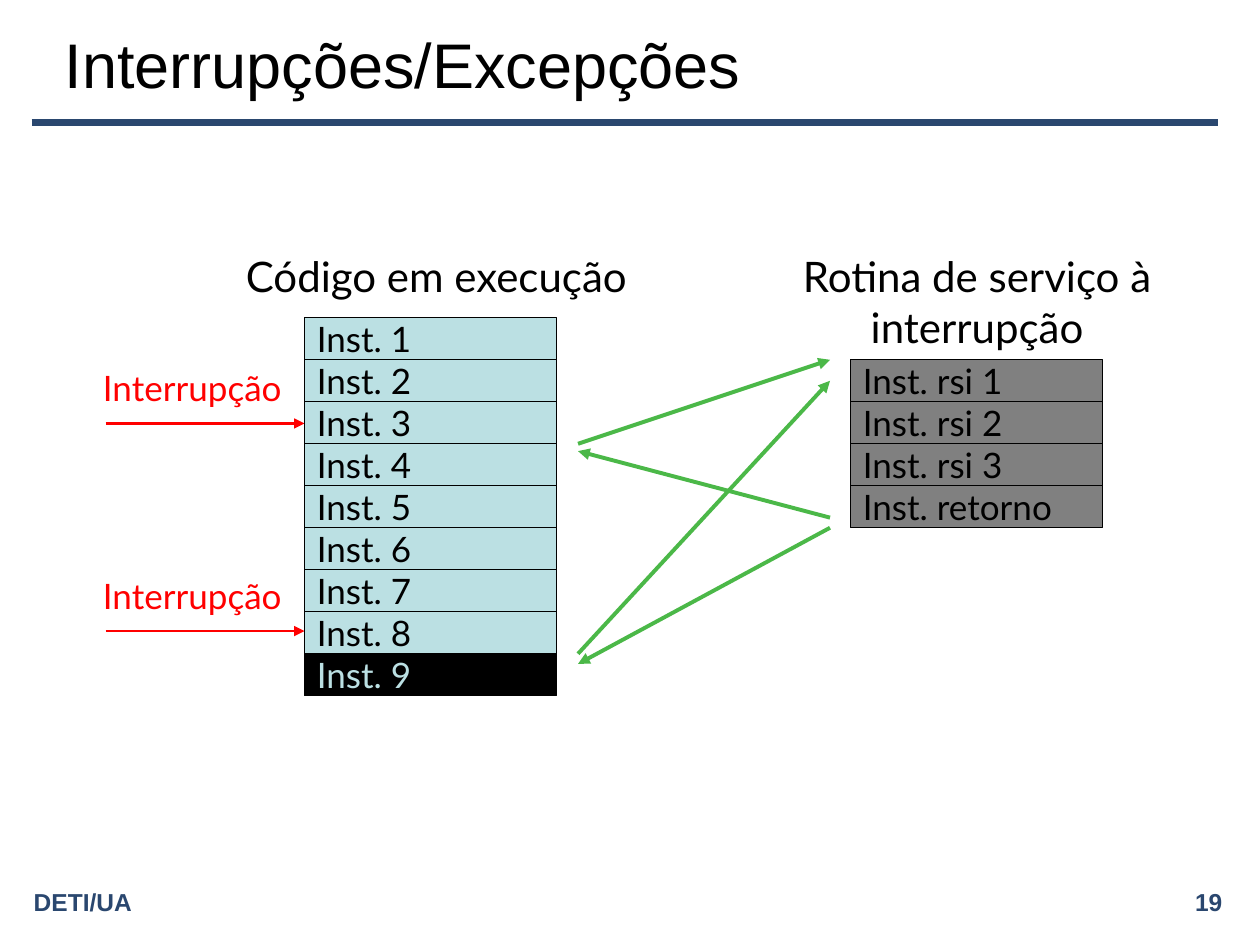
from dataclasses import dataclass

from lxml import etree
from pptx import Presentation
from pptx.dml.color import RGBColor
from pptx.enum.shapes import MSO_CONNECTOR, MSO_SHAPE
from pptx.enum.text import MSO_ANCHOR, PP_ALIGN
from pptx.oxml.ns import qn
from pptx.util import Pt

LEFT, CENTER, RIGHT = PP_ALIGN.LEFT, PP_ALIGN.CENTER, PP_ALIGN.RIGHT
TOP, MIDDLE = MSO_ANCHOR.TOP, MSO_ANCHOR.MIDDLE
STRAIGHT, RECTANGLE = MSO_CONNECTOR.STRAIGHT, MSO_SHAPE.RECTANGLE

COLORS = {
    "navy": "2A476F",
    "black": "000000",
    "red": "FF0000",
    "green": "4BB848",
    "code": "BBE0E3",
    "routine": "808080",
}
ROW_HEIGHT = 24
ROW_WIDTH = 144
CODE_LEFT, CODE_TOP = 174, 181.6
ROUTINE_LEFT, ROUTINE_TOP = 486, CODE_TOP + ROW_HEIGHT


@dataclass
class Label:
    text: str
    left: float
    top: float
    width: float
    height: float
    size: float = 24
    font: str = "Lato"
    color: str = "black"
    align: PP_ALIGN = CENTER
    anchor: MSO_ANCHOR = TOP
    bold: bool = False


@dataclass
class Line:
    x1: float
    y1: float
    x2: float
    y2: float
    color: str
    width: float
    arrow: bool = True


@dataclass
class Instruction:
    text: str
    left: float
    top: float
    fill: str
    color: str = "black"


def rgb(name: str) -> RGBColor:
    return RGBColor.from_string(COLORS[name])


def write_text(box, text: str, *, size: float = 20, font: str = "Lato",
               color: str = "black", align: PP_ALIGN = LEFT,
               anchor: MSO_ANCHOR = MIDDLE, bold: bool = False) -> None:
    frame = box.text_frame
    frame.word_wrap = True
    frame.vertical_anchor = anchor
    para = frame.paragraphs[0]
    para.text = text
    para.alignment = align
    for span in para.runs:
        span.font.size = Pt(size)
        span.font.name = font
        span.font.bold = bold
        span.font.color.rgb = rgb(color)


def draw_label(page, label: Label) -> None:
    box = page.shapes.add_textbox(Pt(label.left), Pt(label.top),
                                  Pt(label.width), Pt(label.height))
    write_text(box, label.text, size=label.size, font=label.font,
               color=label.color, align=label.align, anchor=label.anchor,
               bold=label.bold)


def draw_line(page, line: Line) -> None:
    connector = page.shapes.add_connector(
        STRAIGHT, Pt(line.x1), Pt(line.y1), Pt(line.x2), Pt(line.y2))
    connector.line.color.rgb = rgb(line.color)
    connector.line.width = Pt(line.width)
    if line.arrow:
        outline = connector.line._get_or_add_ln()
        etree.SubElement(outline, qn("a:tailEnd"), type="triangle")
    etree.SubElement(connector._element.spPr, qn("a:effectLst"))


def draw_instruction(page, row: Instruction) -> None:
    box = page.shapes.add_shape(RECTANGLE, Pt(row.left), Pt(row.top),
                                Pt(ROW_WIDTH), Pt(ROW_HEIGHT))
    box.shadow.inherit = False
    box.fill.solid()
    box.fill.fore_color.rgb = rgb(row.fill)
    box.line.color.rgb = rgb("black")
    box.line.width = Pt(0.75)
    write_text(box, row.text, color=row.color)


def main() -> None:
    deck = Presentation()
    deck.slide_width, deck.slide_height = Pt(720), Pt(540)
    page = deck.slides.add_slide(deck.slide_layouts[6])

    # Title, rule and footer
    draw_line(page, Line(18, 70, 696, 70, "navy", 4.5, arrow=False))
    footer = {"top": 504, "width": 279.4, "height": 22.3, "size": 14,
              "font": "Arial", "color": "navy", "anchor": MIDDLE, "bold": True}
    draw_label(page, Label("19", 426.2, align=RIGHT, **footer))
    draw_label(page, Label("DETI/UA", 12.2, align=LEFT, **footer))
    draw_label(page, Label("Interrupções/Excepções", 30, 12, 630, 48, size=36,
                           font="Arial", align=LEFT, anchor=MIDDLE))

    # Interrupt requests, pointing at the running code
    for arrow_y in (242, 360.6):
        draw_line(page, Line(60.3, arrow_y, CODE_LEFT, arrow_y, "red", 1.5))
        draw_label(page, Label("Interrupção", 48, arrow_y - 36, 120, 31,
                               size=20, color="red", align=RIGHT))

    # Column headings
    draw_label(page, Label("Código em execução", 132.3, 139.7, 234, 36))
    draw_label(page, Label("Rotina de serviço à\vinterrupção",
                           438.3, 139.7, 240, 65))

    # Running code (the last instruction is inverted) and service routine
    for index in range(9):
        fill, color = ("black", "code") if index == 8 else ("code", "black")
        draw_instruction(page, Instruction(
            f"Inst. {index + 1}", CODE_LEFT, CODE_TOP + index * ROW_HEIGHT,
            fill, color))
    for index, name in enumerate(("rsi 1", "rsi 2", "rsi 3", "retorno")):
        draw_instruction(page, Instruction(
            f"Inst. {name}", ROUTINE_LEFT, ROUTINE_TOP + index * ROW_HEIGHT,
            "routine"))

    # Jumps to the routine and returns to the code
    code_x, routine_x = 330.3, 474.3
    for code_y, routine_y, returns in ((253.6, 205.6, False),
                                       (257.8, 295.8, True),
                                       (373.6, 217.6, False),
                                       (379.4, 301.6, True)):
        ends = [(code_x, code_y), (routine_x, routine_y)]
        if returns:
            ends.reverse()
        draw_line(page, Line(*ends[0], *ends[1], "green", 2.25))

    deck.save("out.pptx")


if __name__ == "__main__":
    main()
